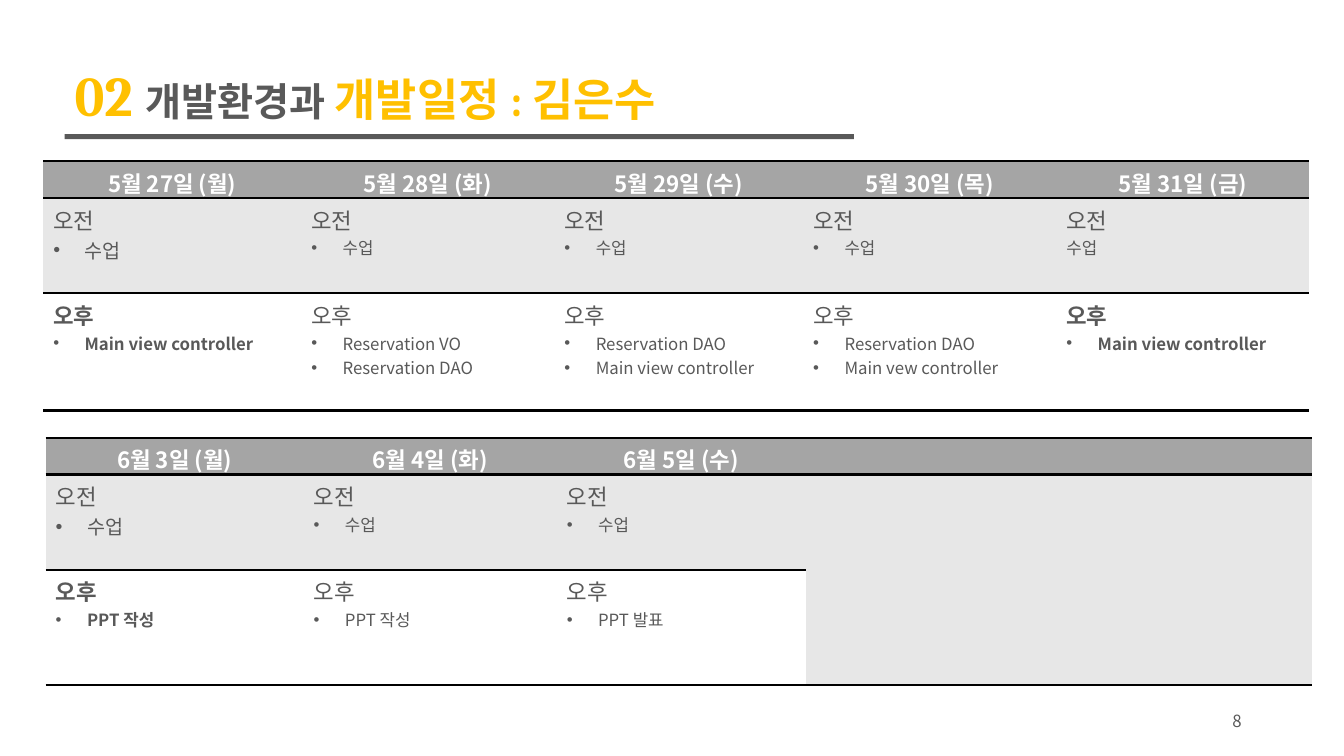
"""Builds the development schedule slide with two weekly tables."""
from lxml.etree import SubElement
from pptx import Presentation
from pptx.dml.color import RGBColor
from pptx.enum.shapes import MSO_SHAPE
from pptx.enum.text import MSO_ANCHOR, PP_ALIGN
from pptx.oxml import parse_xml
from pptx.oxml.ns import nsdecls, qn
from pptx.util import Cm, Pt

SANS, SERIF = "Noto Sans CJK KR", "Cambria"
DARK, GOLD, WHITE, BLACK = "595959", "FFC000", "FFFFFF", "000000"
HEADER_FILL, MORNING_FILL = "A5A5A5", "E7E7E7"
NO_STYLE = "{2D5ABB26-0587-4C30-8999-92F81FD0307C}"

TITLE = [("02 ", 40, GOLD), ("개발환경과", 28, DARK), (" ", 30, DARK),
         ("개발일정 : 김은수", 32, GOLD)]
PAGE_NUMBER = "8"

LARGE_CLASS = ("수업", 14, True)
CLASS = ("수업", 12, True)
PLAIN_CLASS = ("수업", 12, False)
WEEKS = [
    {"left": 1.09, "top": 4.06, "rows": (0.93, 2.4, 2.95), "days": [
        ("5월 27일 (월)", LARGE_CLASS, ["Main view controller"], True),
        ("5월 28일 (화)", CLASS, ["Reservation VO", "Reservation DAO"], False),
        ("5월 29일 (수)", CLASS, ["Reservation DAO", "Main view controller"], False),
        ("5월 30일 (목)", CLASS, ["Reservation DAO", "Main vew controller"], False),
        ("5월 31일 (금)", PLAIN_CLASS, ["Main view controller"], True)]},
    {"left": 1.15, "top": 11.03, "rows": (0.93, 2.4, 2.9), "days": [
        ("6월 3일 (월)", LARGE_CLASS, ["PPT 작성"], True),
        ("6월 4일 (화)", CLASS, ["PPT 작성"], False),
        ("6월 5일 (수)", CLASS, ["PPT 발표"], False)]},
]
COLUMN_WIDTHS = (6.5, 6.38, 6.27, 6.38, 6.38)
BULLET_INDENT = 0.79


def color(value):
    """Turn a hex string into a colour."""
    return RGBColor.from_string(value)


def add_run(paragraph, text, size, ink, bold=False, name=SANS):
    """Append a formatted run, with the sans font for Korean letters."""
    run = paragraph.add_run()
    run.text = text
    for attribute, value in {"size": Pt(size), "bold": bold, "name": name}.items():
        setattr(run.font, attribute, value)
    run.font.color.rgb = color(ink)
    latin = run.font._element.find(qn("a:latin"))
    latin.addnext(parse_xml(f'<a:ea {nsdecls("a")} typeface="{SANS}"/>'))


def add_bullet(paragraph):
    """Give a paragraph a hanging round bullet."""
    properties = paragraph._p.get_or_add_pPr()
    properties.set("marL", str(Cm(BULLET_INDENT)))
    properties.set("indent", str(-Cm(BULLET_INDENT)))
    SubElement(properties, qn("a:buFont")).set("typeface", "Arial")
    SubElement(properties, qn("a:buChar")).set("char", "•")


def format_cell(cell, fill, edges):
    """Set the margins, fill and black edges of a cell."""
    cell.margin_top, cell.margin_bottom = Cm(0.13), Cm(0)
    cell.fill.solid()
    cell.fill.fore_color.rgb = color(fill)
    properties = cell._tc.get_or_add_tcPr()
    for index, edge in enumerate(edges):
        properties.insert(index, parse_xml(
            f'<a:{edge} {nsdecls("a")} w="{Pt(2)}"><a:solidFill>'
            f'<a:srgbClr val="{BLACK}"/></a:solidFill></a:{edge}>'))


def fill_session(cell, heading, items, bold):
    """Write a half-day heading followed by its items."""
    frame = cell.text_frame
    add_run(frame.paragraphs[0], heading, 16, DARK, bold)
    for text, size, bulleted in items:
        paragraph = frame.add_paragraph()
        if bulleted:
            add_bullet(paragraph)
        add_run(paragraph, text, size, DARK, bold)


def add_week(slide, week):
    """Draw one weekly table."""
    rows, days = week["rows"], week["days"]
    table = slide.shapes.add_table(
        len(rows), len(COLUMN_WIDTHS), Cm(week["left"]), Cm(week["top"]),
        Cm(sum(COLUMN_WIDTHS)), Cm(sum(rows))).table
    table.first_row = table.horz_banding = False
    table._tbl.tblPr.find(qn("a:tableStyleId")).text = NO_STYLE
    for row, height in zip(table.rows, rows):
        row.height = Cm(height)
    for index, width in enumerate(COLUMN_WIDTHS):
        table.columns[index].width = Cm(width)
        header, morning, afternoon = (table.cell(row, index) for row in range(3))
        empty = index >= len(days)
        format_cell(header, HEADER_FILL, ("lnT", "lnB"))
        format_cell(morning, MORNING_FILL, ("lnT", "lnB") if empty else ("lnT",))
        format_cell(afternoon, MORNING_FILL if empty else WHITE, ("lnB",))
        if empty:
            morning.merge(afternoon)
            continue
        date, lesson, tasks, bold = days[index]
        paragraph = header.text_frame.paragraphs[0]
        paragraph.alignment = PP_ALIGN.CENTER
        add_run(paragraph, date, 16, WHITE, True)
        fill_session(morning, "오전", [lesson], False)
        fill_session(afternoon, "오후", [(task, 12, True) for task in tasks], bold)


def add_text_box(slide, left, top, width, height):
    """Add a wrapping text box and return its frame."""
    frame = slide.shapes.add_textbox(Cm(left), Cm(top), Cm(width), Cm(height)).text_frame
    frame.word_wrap = True
    return frame


def main():
    """Build and save the slide."""
    presentation = Presentation()
    presentation.slide_width, presentation.slide_height = Cm(33.87), Cm(19.05)
    slide = presentation.slides.add_slide(presentation.slide_layouts[6])

    number = add_text_box(slide, 23.92, 17.66, 7.62, 1.01)
    number.vertical_anchor = MSO_ANCHOR.MIDDLE
    number.paragraphs[0].alignment = PP_ALIGN.RIGHT
    add_run(number.paragraphs[0], PAGE_NUMBER, 12, DARK)

    underline = slide.shapes.add_shape(
        MSO_SHAPE.RECTANGLE, Cm(1.63), Cm(3.38), Cm(19.89), Cm(0.13))
    underline.shadow.inherit = False
    underline.fill.solid()
    underline.fill.fore_color.rgb = color(DARK)
    underline.line.fill.background()

    title = add_text_box(slide, 1.63, 1.4, 17.48, 1.96)
    for text, size, ink in TITLE:
        add_run(title.paragraphs[0], text, size, ink, True, SERIF)

    for week in WEEKS:
        add_week(slide, week)
    presentation.save("out.pptx")


if __name__ == "__main__":
    main()
